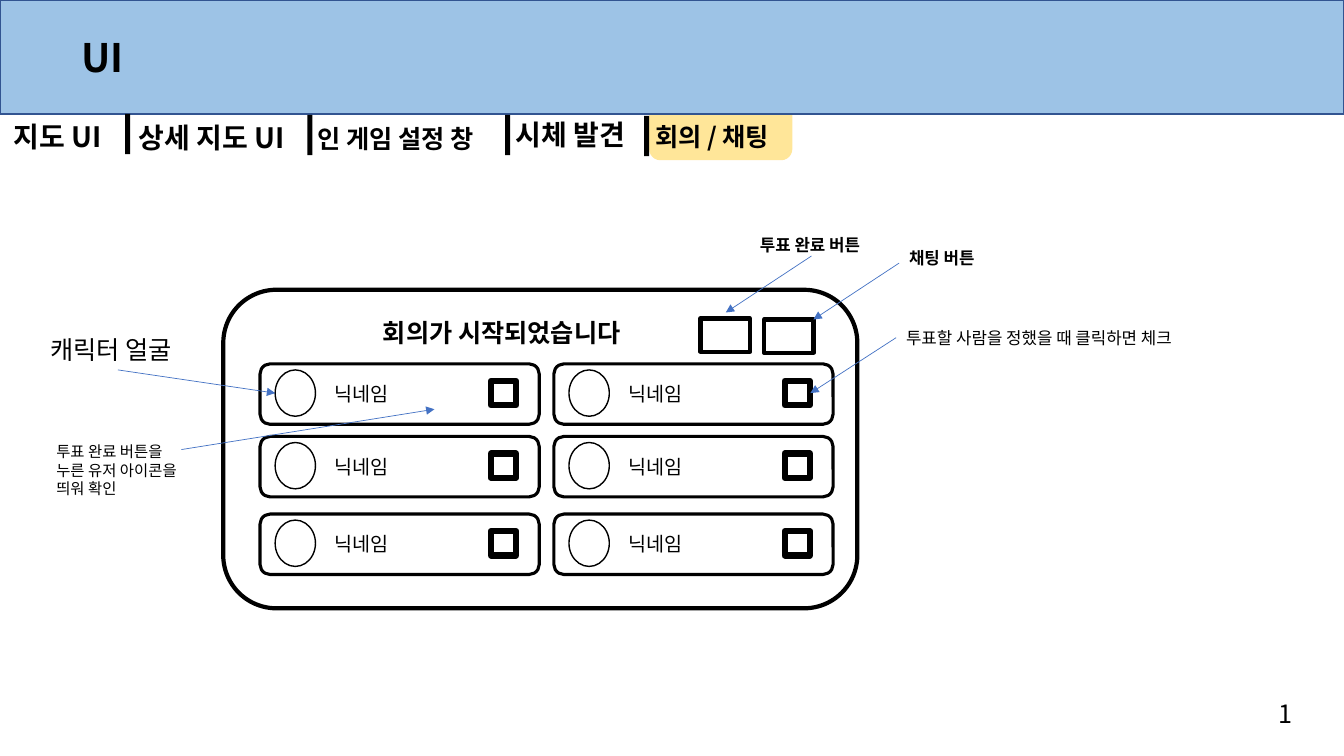
from dataclasses import dataclass
from itertools import product
from typing import Optional

from lxml import etree
from pptx import Presentation
from pptx.dml.color import RGBColor
from pptx.enum.shapes import MSO_CONNECTOR, MSO_SHAPE
from pptx.enum.text import MSO_ANCHOR, MSO_AUTO_SIZE, PP_ALIGN
from pptx.oxml.ns import qn
from pptx.slide import Slide
from pptx.text.text import TextFrame
from pptx.util import Inches, Length, Pt

RECTANGLE = MSO_SHAPE.RECTANGLE
ROUNDED = MSO_SHAPE.ROUNDED_RECTANGLE
OVAL = MSO_SHAPE.OVAL
HIGHLIGHT = MSO_SHAPE.FLOWCHART_ALTERNATE_PROCESS
STRAIGHT = MSO_CONNECTOR.STRAIGHT
TOP = MSO_ANCHOR.TOP
LEFT = PP_ALIGN.LEFT
FIXED_SIZE = MSO_AUTO_SIZE.NONE
FIT_SHAPE = MSO_AUTO_SIZE.SHAPE_TO_FIT_TEXT

BLACK = RGBColor(0x00, 0x00, 0x00)
SKY = RGBColor(0x9D, 0xC3, 0xE6)
NAVY = RGBColor(0x32, 0x54, 0x91)
BLUE = RGBColor(0x44, 0x72, 0xC4)
YELLOW = RGBColor(0xFF, 0xE6, 0x99)

FONT = "Noto Sans CJK KR"
TITLE_ONLY = 5
CELL = Inches(0.1)
COLUMNS = 133.33
ROWS = 75


@dataclass(frozen=True)
class Area:
    column: float
    row: float
    columns: float
    rows: float

    def lengths(self) -> tuple[Length, ...]:
        return tuple(cells(n) for n in (self.column, self.row, self.columns, self.rows))


@dataclass(frozen=True)
class Figure:
    area: Area
    preset: int = RECTANGLE
    fill: Optional[RGBColor] = None
    line: Optional[RGBColor] = BLACK
    weight: float = 3


@dataclass(frozen=True)
class Label:
    text: str
    area: Area
    size: float
    bold: bool = False
    wrap: bool = False


@dataclass(frozen=True)
class Arrow:
    column: float
    row: float
    end_column: float
    end_row: float


HEADER = [
    Figure(Area(64.4, 9.2, 14.2, 6.7), HIGHLIGHT, YELLOW, None),
    Figure(Area(0, 0, COLUMNS, 11.3), RECTANGLE, SKY, NAVY, 1),
]
TITLE = Label("UI", Area(7.1, 2.8, 46.3, 5.7), 28, True, True)
TABS = [
    Label("지도 UI", Area(0.4, 11.4, 11.5, 4.4), 20, True),
    Label("상세 지도 UI", Area(12.8, 11.5, 18.1, 4.4), 20, True),
    Label("인 게임 설정 창", Area(30.5, 11.7, 19.7, 4), 18, True, True),
    Label("시체 발견", Area(50.2, 11.2, 14.2, 4.4), 20, True),
    Label("회의 / 채팅", Area(64, 11.5, 16, 4), 18, True, True),
]
DIVIDERS = [(12.4, 11.3), (30.5, 11.4), (50.1, 11.4), (63.9, 11.5)]

MEETING = [
    Figure(Area(22.15, 28.75, 62.9, 31.6), ROUNDED),
    Figure(Area(69.5, 31.6, 4.9, 3.3)),
    Figure(Area(75.8, 31.7, 4.9, 3.3)),
]
MEETING_TITLE = Label("회의가 시작되었습니다", Area(37, 31, 28.2, 4), 18, True)
CARD_COLUMNS = (25.8, 54.95)
CARD_ROWS = (36.1, 43.3, 51)

NOTES = [
    Label("캐릭터 얼굴", Area(4, 32.7, 15.5, 4), 18, wrap=True),
    Label("투표할 사람을 정했을 때 클릭하면 체크", Area(88.9, 32, 31.9, 3), 12),
    Label("채팅 버튼", Area(89.2, 24.1, 9.3, 3), 12, True),
    Label("투표 완료 버튼", Area(74.4, 22.8, 13.3, 3), 12, True),
    Label("투표 완료 버튼을 누른 유저 아이콘을 띄워 확인", Area(4.6, 43.4, 15.5, 6.6), 11, wrap=True),
    Label("1", Area(125.9, 68.8, 3.4, 4), 18),
]
ARROWS = [
    Arrow(11.7, 36.7, 27.3, 39),
    Arrow(88.9, 33.5, 80.4, 39),
    Arrow(89.2, 26.1, 80.7, 31.7),
    Arrow(80.5, 25.4, 72, 31),
    Arrow(18, 44.6, 43.1, 40.6),
]


def cells(count: float) -> Length:
    return Length(round(count * CELL))


def write_text(frame: TextFrame, label: Label) -> None:
    frame.text = label.text
    frame.word_wrap = label.wrap
    frame.vertical_anchor = TOP
    para = frame.paragraphs[0]
    para.alignment = LEFT
    for span in para.runs:
        span.font.size = Pt(label.size)
        span.font.bold = label.bold
        span.font.name = FONT
        span.font.color.rgb = BLACK
        east_asian = etree.SubElement(span.font._element, qn("a:ea"))
        east_asian.set("typeface", FONT)


def draw_label(page: Slide, label: Label) -> None:
    box = page.shapes.add_textbox(*label.area.lengths())
    write_text(box.text_frame, label)
    box.text_frame.auto_size = FIT_SHAPE


def draw_title(page: Slide, label: Label) -> None:
    title = page.shapes.title
    title.left, title.top, title.width, title.height = label.area.lengths()
    write_text(title.text_frame, label)
    title.text_frame.auto_size = FIXED_SIZE
    title.element.getparent().append(title.element)


def draw_figure(page: Slide, figure: Figure) -> None:
    shape = page.shapes.add_shape(figure.preset, *figure.area.lengths())
    shape.shadow.inherit = False
    if figure.fill is None:
        shape.fill.background()
    else:
        shape.fill.solid()
        shape.fill.fore_color.rgb = figure.fill
    if figure.line is None:
        shape.line.fill.background()
    else:
        shape.line.color.rgb = figure.line
        shape.line.width = Pt(figure.weight)


def draw_arrow(page: Slide, arrow: Arrow) -> None:
    ends = (arrow.column, arrow.row, arrow.end_column, arrow.end_row)
    connector = page.shapes.add_connector(STRAIGHT, *map(cells, ends))
    connector.line.color.rgb = BLUE
    connector.line.width = Pt(0.5)
    properties = connector.element.spPr
    head = etree.SubElement(properties.find(qn("a:ln")), qn("a:tailEnd"))
    head.set("type", "triangle")
    etree.SubElement(properties, qn("a:effectLst"))


def draw_card(page: Slide, column: float, row: float) -> None:
    draw_figure(page, Figure(Area(column, row, 27.7, 6), ROUNDED, weight=2.25))
    draw_figure(page, Figure(Area(column + 1.5, row + 0.6, 4, 4.6), OVAL, weight=1))
    draw_label(page, Label("닉네임", Area(column + 6.4, row + 1.3, 7.9, 3.4), 14))
    draw_figure(page, Figure(Area(column + 22.9, row + 1.7, 2.5, 2.4), weight=4.5))


def main() -> None:
    deck = Presentation()
    deck.slide_width, deck.slide_height = cells(COLUMNS), cells(ROWS)
    page = deck.slides.add_slide(deck.slide_layouts[TITLE_ONLY])
    bars = [Figure(Area(column, row, 0.5, 4), fill=BLACK, line=None) for column, row in DIVIDERS]
    for figure in HEADER + bars + MEETING:
        draw_figure(page, figure)
    for column, row in product(CARD_COLUMNS, CARD_ROWS):
        draw_card(page, column, row)
    for arrow in ARROWS:
        draw_arrow(page, arrow)
    for label in [*TABS, MEETING_TITLE, *NOTES]:
        draw_label(page, label)
    draw_title(page, TITLE)
    deck.save("out.pptx")


if __name__ == "__main__":
    main()
